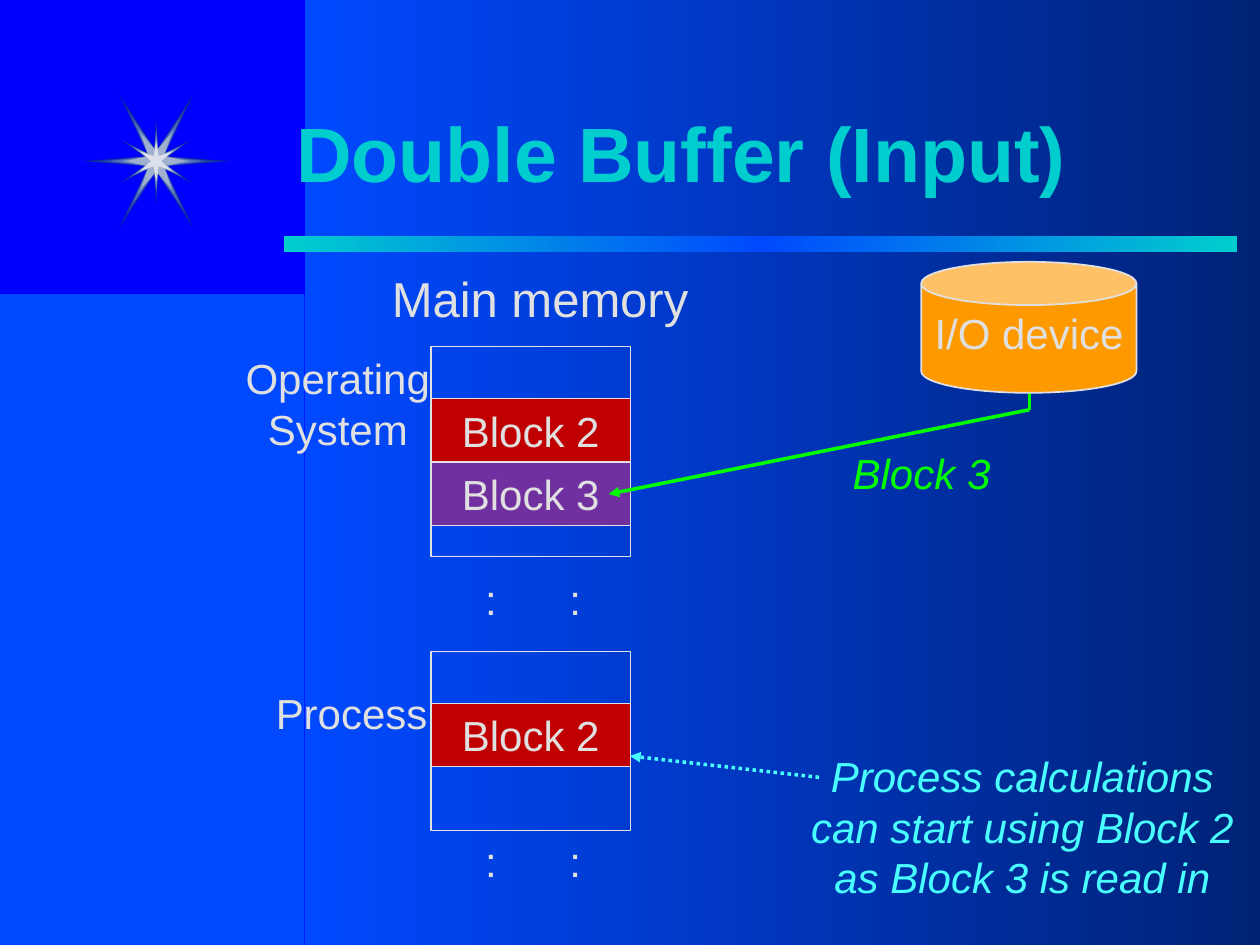
from dataclasses import dataclass
from typing import Optional

from lxml.etree import SubElement
from pptx import Presentation
from pptx.dml.color import RGBColor
from pptx.enum.dml import MSO_LINE
from pptx.enum.shapes import MSO_CONNECTOR, MSO_SHAPE
from pptx.enum.text import MSO_ANCHOR, MSO_AUTO_SIZE, PP_ALIGN
from pptx.oxml import parse_xml
from pptx.oxml.ns import nsdecls, qn
from pptx.util import Cm, Pt

BLUE = RGBColor(0x00, 0x00, 0xFF)
BRIGHT = RGBColor(0x00, 0x49, 0xFF)
NAVY = RGBColor(0x00, 0x22, 0x76)
TEAL = RGBColor(0x00, 0xCE, 0xCE)
GREY = RGBColor(0xE0, 0xE0, 0xE0)
RED = RGBColor(0xC0, 0x00, 0x00)
PURPLE = RGBColor(0x70, 0x30, 0xA0)
ORANGE = RGBColor(0xFF, 0x99, 0x00)
GREEN = RGBColor(0x00, 0xFF, 0x00)
CYAN = RGBColor(0x49, 0xFF, 0xFF)
FONT = "Arial"
MEM_X, MEM_W, BLOCK_H = 8.69, 4.02, 1.27
STAR_X, STAR_Y = 3.15, 3.25


@dataclass
class Box:
    x: float
    y: float
    w: float
    h: float

    def emu(self):
        return Cm(self.x), Cm(self.y), Cm(self.w), Cm(self.h)


@dataclass
class Label:
    box: Box
    paragraphs: list
    color: RGBColor = GREY
    size: int = 24
    italic: bool = False
    align: PP_ALIGN = PP_ALIGN.LEFT


@dataclass
class Block:
    y: float
    text: str
    fill: RGBColor


@dataclass
class Ray:
    wide: bool
    reach: float
    color: str


@dataclass
class Link:
    start: tuple
    end: tuple
    color: RGBColor
    arrow: bool = True
    dash: Optional[MSO_LINE] = None


RAYS = [
    Ray(True, 1.49, "0B2B9E"), Ray(False, 0.86, "102FA1"),
    Ray(True, 1.19, "2645AC"), Ray(False, 0.64, "4464B9"),
    Ray(True, 0.97, "4464B9"), Ray(False, 0.58, "4E6EBC"),
    Ray(True, 0.9, "4E6EBC"), Ray(False, 0.56, "5A79C0"),
    Ray(False, 0.51, "7992C6"), Ray(True, 0.72, "7992C6"),
    Ray(True, 0.61, "A0B0CE"), Ray(False, 0.41, "D9D9D9"),
    Ray(False, 0.36, "DCE0ED"),
]
LABELS = [
    Label(Box(7.65, 5.28, 6.48, 1.45), ["Main memory"], size=28),
    Label(Box(4.7, 6.99, 4.22, 2.29), ["Operating", "System"], align=PP_ALIGN.CENTER),
    Label(Box(5.31, 13.74, 3.56, 1.27), ["Process"]),
    Label(Box(16.1, 15.01, 9.02, 3.3),
          ["Process calculations\ncan start using Block 2", "as Block 3 is read in"],
          CYAN, italic=True, align=PP_ALIGN.CENTER),
    Label(Box(16.94, 8.89, 3.28, 1.27), ["Block 3"], GREEN, italic=True),
] + [Label(Box(x, y, 0.74, 1.27), [":"]) for y in (11.43, 16.71) for x in (9.53, 11.23)]
BLOCKS = [Block(14.18, "Block 2", RED), Block(9.32, "Block 3", PURPLE),
          Block(8.04, "Block 2", RED)]
LINKS = [
    Link((16.51, 15.67), (12.7, 15.24), CYAN, dash=MSO_LINE.ROUND_DOT),
    Link((20.75, 7.19), (20.75, 8.26), GREEN, arrow=False),
    Link((20.75, 8.26), (12.27, 9.96), GREEN),
]


def add_run(p, text: str, size: int, color: RGBColor, italic: bool = False):
    r = p.add_run()
    r.text = text
    r.font.name = FONT
    r.font.size = Pt(size)
    r.font.italic = italic
    r.font.color.rgb = color
    return r


def add_box(slide, kind, box: Box, fill=None, line=None, width: float = 0.75):
    sp = slide.shapes.add_shape(kind, *box.emu())
    sp.shadow.inherit = False
    if fill is None:
        sp.fill.background()
    else:
        sp.fill.solid()
        sp.fill.fore_color.rgb = fill
    if line is None:
        sp.line.fill.background()
    else:
        sp.line.color.rgb = line
        sp.line.width = Pt(width)
    return sp


def add_gradient(slide, box: Box, colors: list) -> None:
    sp = add_box(slide, MSO_SHAPE.RECTANGLE, box)
    sp.fill.gradient()
    sp.fill.gradient_angle = 0
    stops = sp.element.spPr.find(qn("a:gradFill")).find(qn("a:gsLst"))
    for gs in list(stops):
        stops.remove(gs)
    for i, color in enumerate(colors):
        gs = SubElement(stops, qn("a:gs"), pos=str(i * 100000 // (len(colors) - 1)))
        SubElement(gs, qn("a:srgbClr"), val=str(color))


def add_ray(slide, ray: Ray) -> None:
    n = ray.reach
    if ray.wide:
        half = [(-n, 0), (-0.15, -0.1), (-n / 2, -0.9 * n),
                (0, -0.2), (n / 2, -0.9 * n), (0.15, -0.1)]
    else:
        half = [(-0.1, 0), (-0.82 * n, -n / 2), (-0.05, -0.1),
                (0, -n), (0.05, -0.1), (0.82 * n, -n / 2)]
    outline = half + [(-x, -y) for x, y in half]
    points = [(Cm(STAR_X + x), Cm(STAR_Y + y)) for x, y in outline]
    fb = slide.shapes.build_freeform(*points[0])
    fb.add_line_segments(points[1:], close=True)
    sp = fb.convert_to_shape()
    sp.shadow.inherit = False
    sp.fill.solid()
    sp.fill.fore_color.rgb = RGBColor.from_string(ray.color)
    sp.line.fill.background()


def add_label(slide, label: Label) -> None:
    tf = slide.shapes.add_textbox(*label.box.emu()).text_frame
    tf.word_wrap = False
    tf.auto_size = MSO_AUTO_SIZE.SHAPE_TO_FIT_TEXT
    for i, text in enumerate(label.paragraphs):
        p = tf.add_paragraph() if i else tf.paragraphs[0]
        p.alignment = label.align
        for j, part in enumerate(text.split("\n")):
            if j:
                p.add_line_break()
            add_run(p, part, label.size, label.color, label.italic)


def add_block(slide, block: Block) -> None:
    sp = add_box(slide, MSO_SHAPE.RECTANGLE, Box(MEM_X, block.y, MEM_W, BLOCK_H),
                 block.fill, GREY)
    p = sp.text_frame.paragraphs[0]
    p.alignment = PP_ALIGN.CENTER
    add_run(p, block.text, 24, GREY)


def add_link(slide, link: Link) -> None:
    ends = [Cm(v) for v in link.start + link.end]
    c = slide.shapes.add_connector(MSO_CONNECTOR.STRAIGHT, *ends)
    c.line.color.rgb = link.color
    c.line.width = Pt(2)
    if link.dash:
        c.line.dash_style = link.dash
    if link.arrow:
        SubElement(c.line._get_or_add_ln(), qn("a:tailEnd"), type="triangle")
    SubElement(c._element.spPr, qn("a:effectLst"))


def set_title(slide, text: str) -> None:
    sp = slide.shapes.title
    sp.element.getparent().append(sp.element)
    sp.left, sp.top, sp.width, sp.height = Box(5.72, 1.47, 19.25, 3.18).emu()
    tf = sp.text_frame
    tf.vertical_anchor = MSO_ANCHOR.MIDDLE
    p = tf.paragraphs[0]
    p.alignment = PP_ALIGN.LEFT
    r = add_run(p, text, 44, TEAL)
    r.font.bold = True
    r.font._element.find(qn("a:solidFill")).addnext(parse_xml(
        f'<a:effectLst {nsdecls("a")}><a:outerShdw dist="35921" dir="2700000">'
        '<a:srgbClr val="000000"/></a:outerShdw></a:effectLst>'))


def main() -> None:
    prs = Presentation()
    prs.slide_width, prs.slide_height = Cm(25.4), Cm(19.05)
    slide = prs.slides.add_slide(prs.slide_layouts[5])
    slide.background.fill.solid()
    slide.background.fill.fore_color.rgb = BLUE
    add_box(slide, MSO_SHAPE.RECTANGLE, Box(0, 5.93, 6.14, 13.12), BRIGHT)
    add_gradient(slide, Box(6.14, 0, 19.26, 19.05), [BRIGHT, NAVY])
    add_gradient(slide, Box(5.73, 4.76, 19.21, 0.32), [TEAL, BRIGHT, TEAL])
    for ray in RAYS:
        add_ray(slide, ray)
    set_title(slide, "Double Buffer (Input)")
    for y, h in ((13.13, 3.61), (6.99, 4.23)):
        add_box(slide, MSO_SHAPE.RECTANGLE, Box(MEM_X, y, MEM_W, h), line=GREY)
    for label in LABELS:
        add_label(slide, label)
    for block in BLOCKS:
        add_block(slide, block)
    for link in LINKS:
        add_link(slide, link)
    can = add_box(slide, MSO_SHAPE.CAN, Box(18.57, 5.28, 4.34, 2.64), ORANGE, GREY, 1)
    can.adjustments[0] = 0.33
    add_label(slide, Label(Box(18.59, 6.07, 4.32, 1.27), ["I/O device"]))
    prs.save("out.pptx")


if __name__ == "__main__":
    main()
